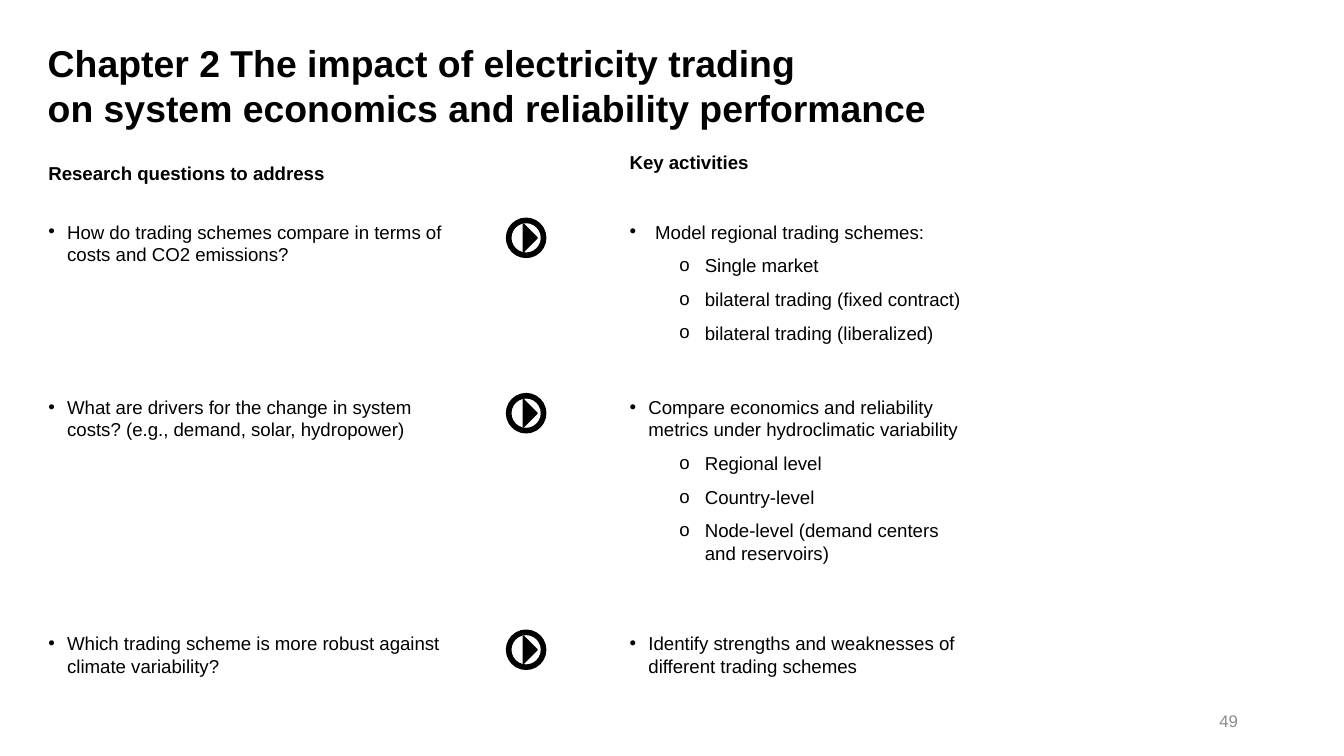
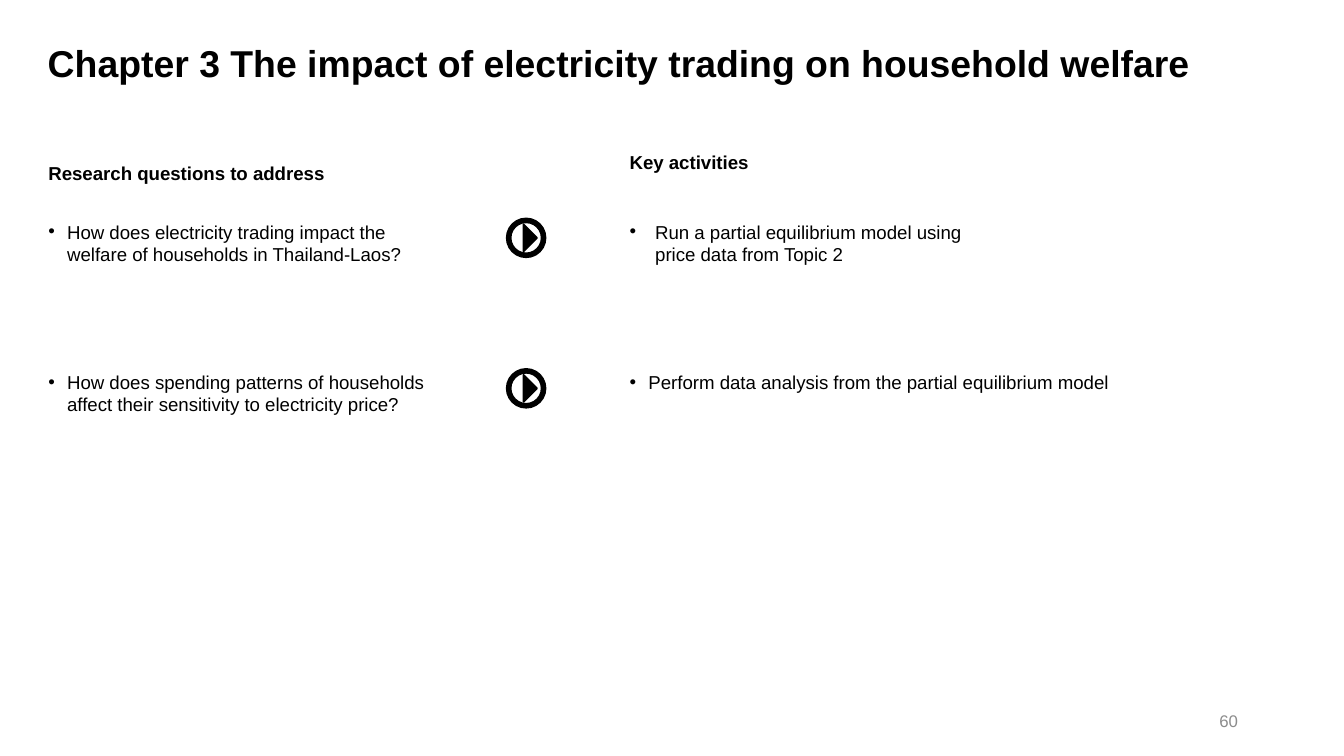
"""Build two chapter slides that pair research questions with key activities."""
from dataclasses import dataclass

from lxml import etree
from pptx import Presentation
from pptx.dml.color import RGBColor
from pptx.enum.shapes import MSO_SHAPE
from pptx.enum.text import MSO_ANCHOR, MSO_AUTO_SIZE, PP_ALIGN
from pptx.oxml.ns import qn
from pptx.util import Pt

PX = 4572
TITLE_ONLY = 5
OVAL, TRIANGLE = MSO_SHAPE.OVAL, MSO_SHAPE.ISOSCELES_TRIANGLE
TOP, MIDDLE = MSO_ANCHOR.TOP, MSO_ANCHOR.MIDDLE
LEFT, RIGHT = PP_ALIGN.LEFT, PP_ALIGN.RIGHT
GROW = MSO_AUTO_SIZE.SHAPE_TO_FIT_TEXT


@dataclass(frozen=True)
class Theme:
    font: str = "Arial"
    ink: RGBColor = RGBColor(0x00, 0x00, 0x00)
    muted: RGBColor = RGBColor(0x8C, 0x8C, 0x8C)
    title: int = 20
    body: int = 10
    number: int = 9


THEME = Theme()
QUESTION_X, ICON_X, ACTIVITY_X = 72, 757, 937
NARROW, WIDE = 28, 38
SUB_MARGIN = 112

SLIDES = [
    {
        "title": ["Chapter 2 The impact of electricity trading",
                  "on system economics and reliability performance"],
        "title_h": 134,
        "number": "49",
        "rows": [
            (328, "How do trading schemes compare in terms of costs and CO2 emissions?",
             "Model regional trading schemes:", WIDE, 500, 186,
             ["Single market", "bilateral trading (fixed contract)",
              "bilateral trading (liberalized)"]),
            (589, "What are drivers for the change in system costs? "
                  "(e.g., demand, solar, hydropower)",
             "Compare economics and reliability metrics under hydroclimatic variability",
             NARROW, 500, 252,
             ["Regional level", "Country-level",
              "Node-level (demand centers and reservoirs)"]),
            (941, "Which trading scheme is more robust against climate variability?",
             "Identify strengths and weaknesses of different trading schemes",
             NARROW, 500, 68, []),
        ],
    },
    {
        "title": ["Chapter 3 The impact of electricity trading on household welfare"],
        "title_h": 68,
        "number": "60",
        "rows": [
            (328, "How does electricity trading impact the welfare of households "
                  "in Thailand-Laos?",
             "Run a partial equilibrium model using price data from Topic 2",
             WIDE, 500, 68, []),
            (552, "How does spending patterns of households affect their sensitivity "
                  "to electricity price?",
             "Perform data analysis from the partial equilibrium model",
             NARROW, 754, 34, []),
        ],
    },
]


def add_run(p, text, size, bold=False, color=THEME.ink):
    r = p.add_run()
    r.text = text
    r.font.name = THEME.font
    r.font.size = Pt(size)
    r.font.bold = bold
    r.font.color.rgb = color


def add_text(s, box, items, bold=False):
    """Add a text box; each item is (text, bullet, margin, indent, level)."""
    tf = s.shapes.add_textbox(*(v * PX for v in box)).text_frame
    tf.margin_left = tf.margin_top = tf.margin_right = tf.margin_bottom = 0
    tf.word_wrap = True
    tf.auto_size = GROW
    for i, (text, bullet, margin, indent, level) in enumerate(items):
        p = tf.add_paragraph() if i else tf.paragraphs[0]
        if bullet:
            p.level = level
            pPr = p._p.get_or_add_pPr()
            pPr.set("marL", str(margin * PX))
            pPr.set("indent", str(-indent * PX))
            etree.SubElement(pPr, qn("a:buFont")).set("typeface", THEME.font)
            etree.SubElement(pPr, qn("a:buChar")).set("char", bullet)
            p.space_after = Pt(6)
        add_run(p, text, THEME.body, bold)
    return tf


prs = Presentation()
prs.slide_width, prs.slide_height = 2000 * PX, 1125 * PX

for page in SLIDES:
    s = prs.slides.add_slide(prs.slide_layouts[TITLE_ONLY])

    sp = s.shapes.title
    sp.left, sp.top, sp.width, sp.height = (
        v * PX for v in (71, 60, 1766, page["title_h"]))
    tf = sp.text_frame
    tf.margin_left = tf.margin_top = tf.margin_right = tf.margin_bottom = 0
    tf.vertical_anchor = TOP
    tf.word_wrap = True
    tf.auto_size = GROW
    p = tf.paragraphs[0]
    p.alignment = LEFT
    for i, line in enumerate(page["title"]):
        if i:
            p.add_line_break()
        add_run(p, line, THEME.title, True)

    tf = add_text(s, (QUESTION_X, 224, 618, 44),
                  [("Research questions to address", None, 0, 0, 0)], True)
    tf.paragraphs[0].line_spacing = 1.5
    add_text(s, (ACTIVITY_X, 225, 500, 34), [("Key activities", None, 0, 0, 0)], True)

    for y, question, activity, indent, width, height, subs in page["rows"]:
        add_text(s, (QUESTION_X, y, 594, 68), [(question, "•", NARROW, NARROW, 0)])
        add_text(s, (ACTIVITY_X, y, width, height),
                 [(activity, "•", indent, indent, 0)]
                 + [(sub, "o", SUB_MARGIN, WIDE, 1) for sub in subs])

        icon = s.shapes.add_group_shape()
        for kind, dx, dy, w, h, weight in ((OVAL, 0, 0, 52, 52, 3),
                                           (TRIANGLE, 12, 16, 40, 20, 1)):
            sp = icon.shapes.add_shape(
                kind, (ICON_X + dx) * PX, (y + dy) * PX, w * PX, h * PX)
            sp.shadow.inherit = False
            sp.line.color.rgb = THEME.ink
            sp.line.width = Pt(weight)
            if kind == OVAL:
                sp.fill.background()
            else:
                sp.fill.solid()
                sp.fill.fore_color.rgb = THEME.ink
                sp.rotation = 90

    tf = s.shapes.add_textbox(1412 * PX, 1043 * PX, 450 * PX, 60 * PX).text_frame
    tf.word_wrap = True
    tf.vertical_anchor = MIDDLE
    p = tf.paragraphs[0]
    p.alignment = RIGHT
    add_run(p, page["number"], THEME.number, color=THEME.muted)

prs.save("out.pptx")
